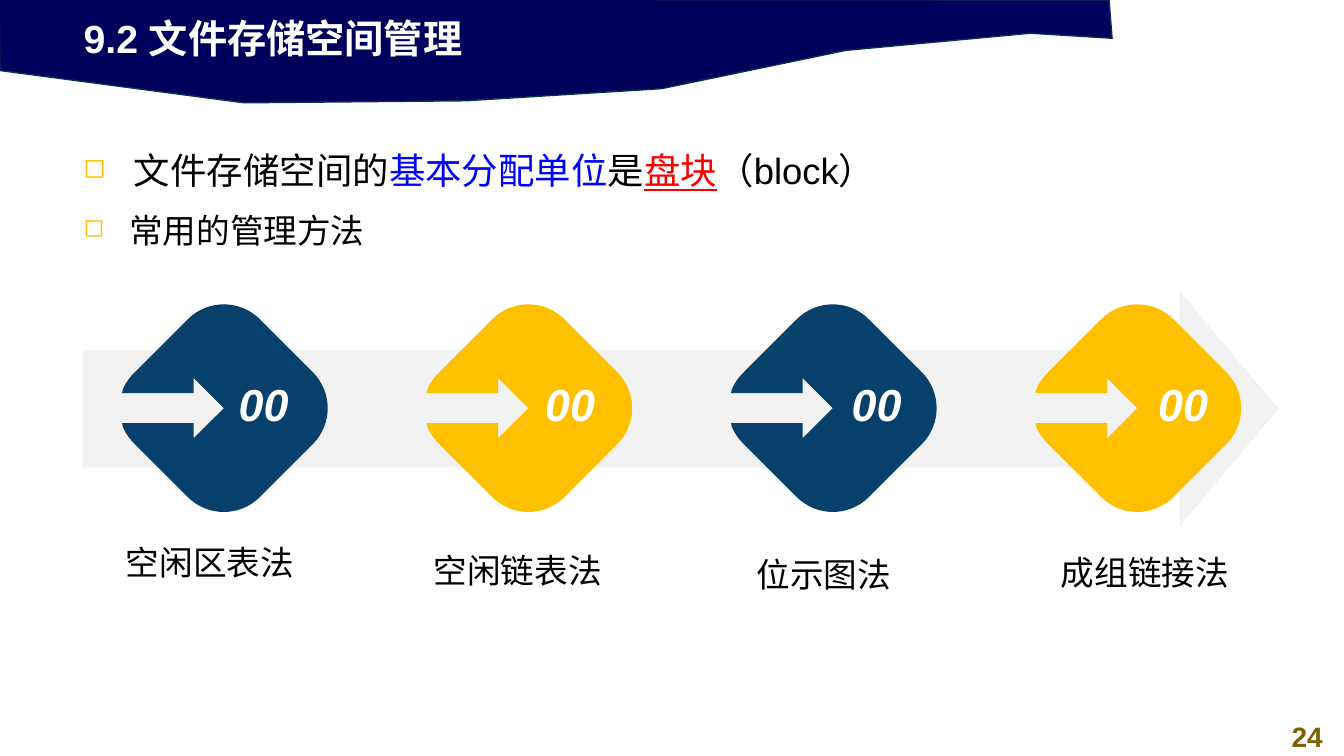
from math import sqrt

from lxml import etree
from pptx import Presentation
from pptx.dml.color import RGBColor
from pptx.enum.shapes import MSO_SHAPE
from pptx.enum.text import MSO_ANCHOR, MSO_AUTO_SIZE, PP_ALIGN
from pptx.oxml.ns import qn
from pptx.util import Inches, Pt

ARROW = MSO_SHAPE.RIGHT_ARROW
TOP, MIDDLE = MSO_ANCHOR.TOP, MSO_ANCHOR.MIDDLE
LEFT, CENTER = PP_ALIGN.LEFT, PP_ALIGN.CENTER
FIXED = MSO_AUTO_SIZE.NONE
FONT = "Arial"
COLORS = {
    "navy": "00005C", "edge": "05304F", "white": "FFFFFF", "black": "000000",
    "blue": "0000FF", "red": "FF0000", "gold": "FFC000", "teal": "07416B",
    "gray": "F2F2F2", "brown": "806000",
}
BANNER = [(-0.01, -0.01), (0, 0.7), (2.42, 1.02), (4.62, 1), (6.56, 0.88),
          (8.39, 0.5), (10.22, 0.33), (11.03, 0.38), (11, 0)]
GEM = [
    [(0, -1.03)],
    [(0.13, -1.03), (0.26, -0.98), (0.36, -0.88)],
    [(0.88, -0.36)],
    [(1.08, -0.16), (1.08, 0.16), (0.88, 0.36)],
    [(0.36, 0.88)],
    [(0.16, 1.08), (-0.16, 1.08), (-0.36, 0.88)],
    [(-0.88, 0.36)],
    [(-0.93, 0.31), (-0.97, 0.26), (-1, 0.19)],
    [(-1.01, 0.15)], [(-0.3, 0.15)], [(-0.3, 0.3)], [(0, 0)],
    [(-0.3, -0.3)], [(-0.3, -0.15)], [(-1.01, -0.15)], [(-1, -0.19)],
    [(-0.97, -0.26), (-0.93, -0.31), (-0.88, -0.36)],
    [(-0.36, -0.88)],
    [(-0.26, -0.98), (-0.13, -1.03), (0, -1.03)],
]
LABELS = [
    ("空闲区表法", (0.65, 5.33, 2.8, 0.57), LEFT, 0.5, None),
    ("空闲链表法", (3.71, 5.33, 2.85, 0.59), CENTER, 0, 1.2),
    ("位示图法", (6.83, 5.37, 2.68, 0.54), CENTER, 0, 1.2),
    ("成组链接法", (9.85, 5.35, 3.01, 0.81), CENTER, 0, 1.2),
]


def rgb(name):
    """Return the named colour."""
    return RGBColor.from_string(COLORS[name])


def paint(shape, fill, line=None):
    """Set fill and outline of a shape without shadow."""
    shape.shadow.inherit = False
    shape.fill.solid()
    shape.fill.fore_color.rgb = rgb(fill)
    if line:
        shape.line.color.rgb = rgb(line)
        shape.line.width = Pt(1)
    else:
        shape.line.fill.background()


def add_outline(slide, points, fill, line=None):
    """Draw a closed polygon from points in inches."""
    spots = [(Inches(x), Inches(y)) for x, y in points]
    build = slide.shapes.build_freeform(*spots[0])
    build.add_line_segments(spots[1:], close=True)
    shape = build.convert_to_shape()
    paint(shape, fill, line)
    return shape


def turn(x, y, point):
    """Turn a point back by 45 degrees and move it to a centre."""
    px, py = point
    return x + (px + py) / sqrt(2), y + (py - px) / sqrt(2)


def add_gem(slide, x, y, fill):
    """Draw a rounded diamond with an arrow cut into its left side."""
    parts = [[turn(x, y, point) for point in part] for part in GEM]
    shape = add_outline(slide, [part[-1] for part in parts], fill)
    lines = list(shape.element.iter(qn("a:lnTo")))
    for line, part in zip(lines, parts[1:]):
        if len(part) == 3:
            curve = etree.Element(qn("a:cubicBezTo"))
            for px, py in part:
                etree.SubElement(curve, qn("a:pt"),
                                 x=str(Inches(px) - shape.left),
                                 y=str(Inches(py) - shape.top))
            line.getparent().replace(line, curve)
    shape.rotation = 45


def add_bullet(para, indent):
    """Give a paragraph a hanging gold square."""
    props = para._p.get_or_add_pPr()
    props.set("marL", str(Inches(indent)))
    props.set("indent", str(-Inches(indent)))
    tint = etree.SubElement(props, qn("a:buClr"))
    etree.SubElement(tint, qn("a:srgbClr"), val=COLORS["gold"])
    etree.SubElement(props, qn("a:buSzPct"), val="75000")
    etree.SubElement(props, qn("a:buChar"), char="◻")


def add_runs(para, runs, size, bold=False, italic=False):
    """Add runs given as text and colour, with red underlined."""
    for text, color in runs:
        run = para.add_run()
        run.text = text
        font = run.font
        font.name, font.size = FONT, Pt(size)
        font.bold, font.italic = bold, italic
        font.underline = color == "red"
        font.color.rgb = rgb(color)


def set_frame(shape, align=LEFT, anchor=TOP):
    """Prepare the text frame and return its first paragraph."""
    frame = shape.text_frame
    frame.auto_size = FIXED
    frame.word_wrap = True
    frame.vertical_anchor = anchor
    para = frame.paragraphs[0]
    para.alignment = align
    return para


def add_text(slide, box, align=LEFT, anchor=TOP):
    """Add a text box and return its first paragraph."""
    shape = slide.shapes.add_textbox(*map(Inches, box))
    return set_frame(shape, align, anchor)


def set_title(slide, text, box):
    """Place the title above the banner."""
    title = slide.shapes.title
    title.left, title.top, title.width, title.height = map(Inches, box)
    add_runs(set_frame(title), [(text, "white")], 28, bold=True)
    title.element.getparent().append(title.element)


def add_point(slide, box, runs, size, indent, anchor=TOP):
    """Add one bulleted line."""
    para = add_text(slide, box, LEFT, anchor)
    add_bullet(para, indent)
    add_runs(para, runs, size)


def add_label(slide, text, box, align, indent, space):
    """Add the name of a method."""
    para = add_text(slide, box, align)
    para._p.get_or_add_pPr().set("marL", str(Inches(indent)))
    para.level = 1
    if space:
        para.line_spacing = space
    add_runs(para, [(text, "black")], 24)


def add_band(slide):
    """Draw the wide gray arrow."""
    band = slide.shapes.add_shape(
        ARROW, *map(Inches, (0.82, 2.89, 11.86, 2.33)))
    band.adjustments[0], band.adjustments[1] = 0.5, 0.42
    paint(band, "gray")


def main():
    """Build and save the slide."""
    deck = Presentation()
    deck.slide_width, deck.slide_height = Inches(13.33), Inches(7.5)
    slide = deck.slides.add_slide(deck.slide_layouts[5])
    add_outline(slide, BANNER, "navy", "edge")
    page = add_text(slide, (12.6, 7.09, 0.73, 0.44), CENTER)
    add_runs(page, [("24", "brown")], 20, bold=True)
    set_title(slide, "9.2 文件存储空间管理", (0.73, 0.09, 7.68, 0.57))
    add_point(slide, (0.73, 1.47, 8.67, 0.44), [
        ("文件存储空间的", "black"), ("基本分配单位", "blue"),
        ("是", "black"), ("盘块", "red"), ("（block）", "black"),
    ], 26, 0.5, MIDDLE)
    add_point(slide, (0.73, 2.03, 7.35, 0.5),
              [(" 常用的管理方法", "black")], 24, 0.38)
    add_band(slide)
    for n in range(len(LABELS)):
        add_gem(slide, 2.22 + 3.02 * n, 4.05, ("teal", "gold")[n % 2])
    for n, label in enumerate(LABELS):
        mark = add_text(slide, (2.23 + 3.04 * n, 3.63, 0.77, 0.74),
                        CENTER, MIDDLE)
        add_runs(mark, [("00", "white")], 32, bold=True, italic=True)
        add_label(slide, *label)
    deck.save("out.pptx")


if __name__ == "__main__":
    main()
